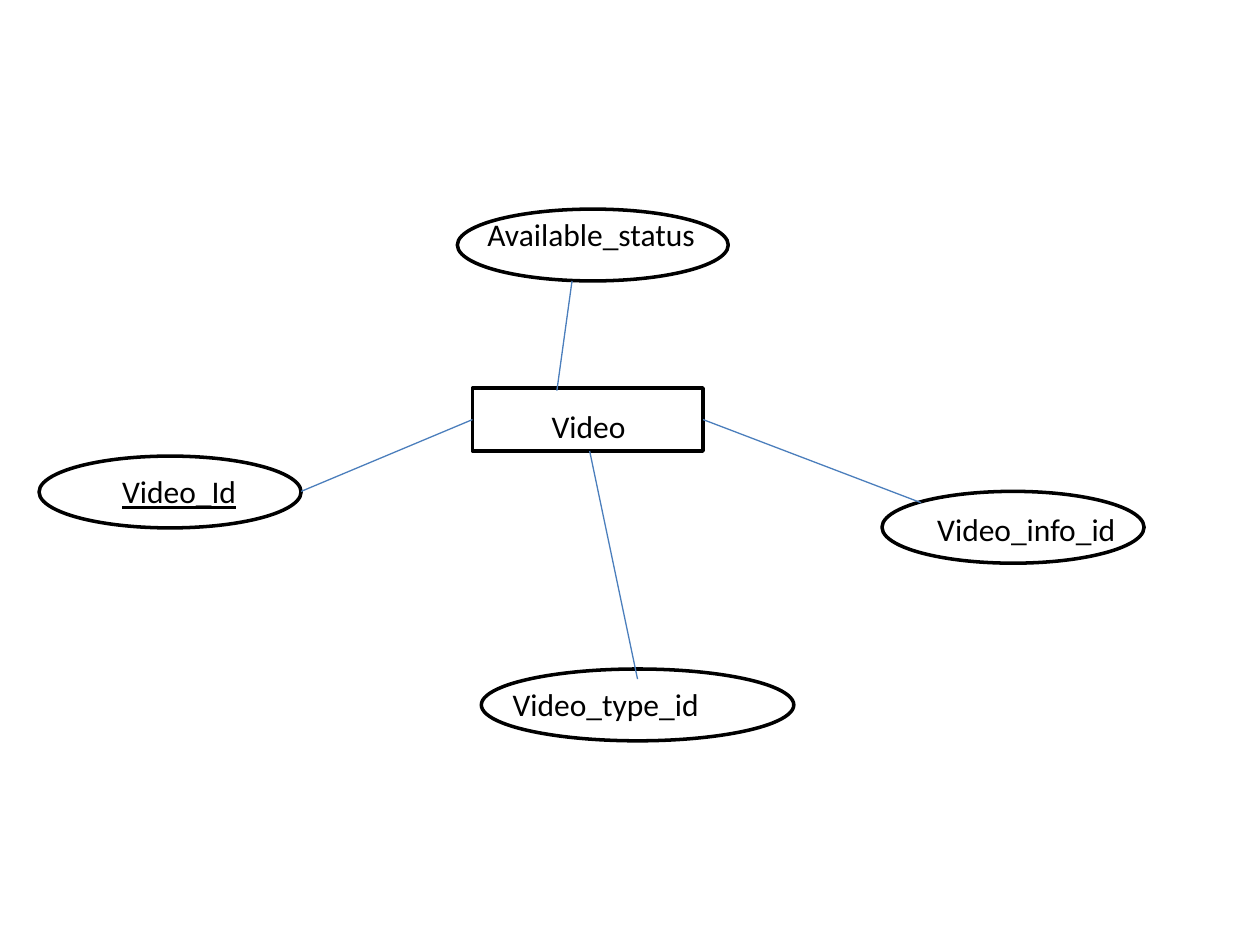
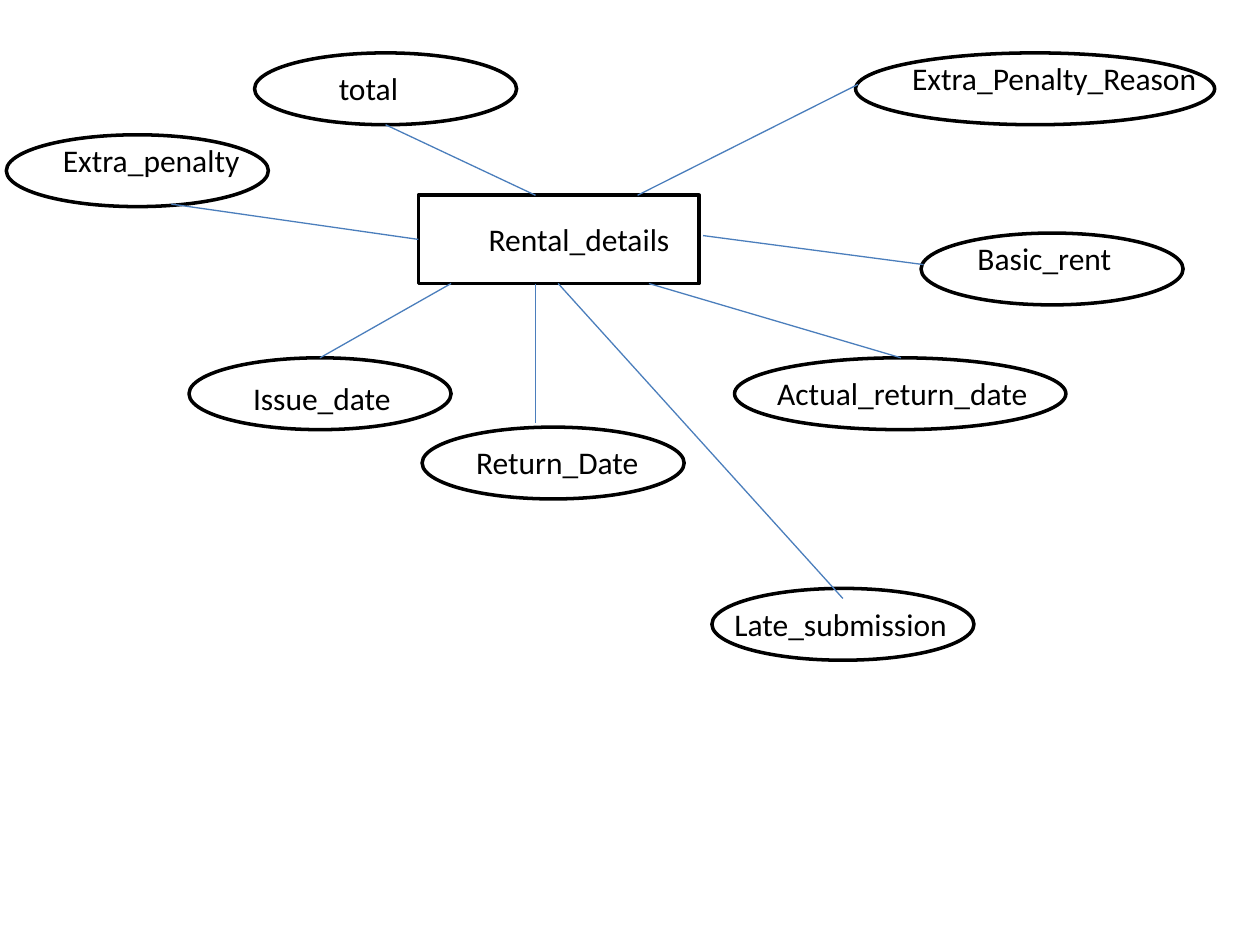
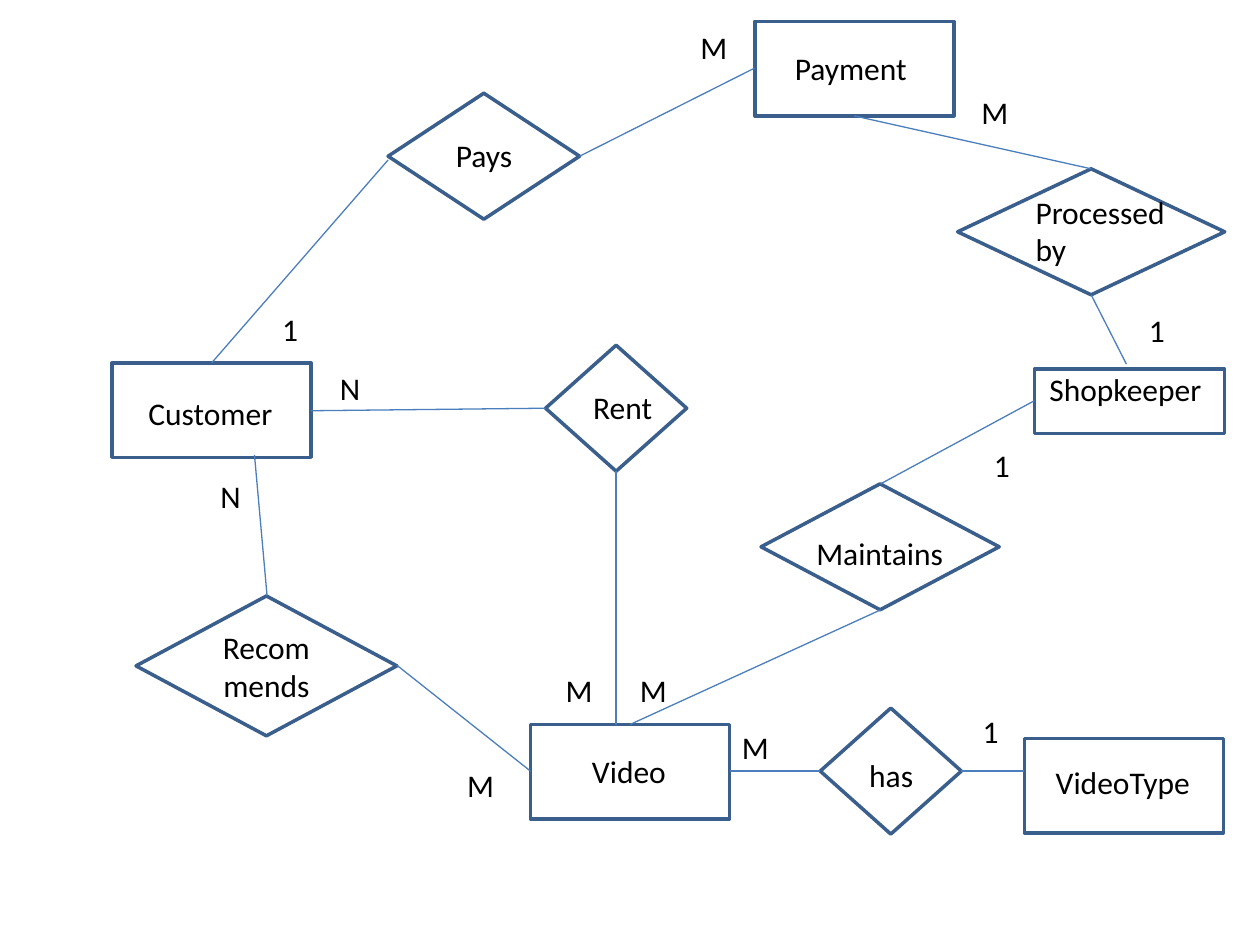
"""Draw three entity-relationship slides for a video rental shop."""
from dataclasses import dataclass

from lxml import etree
from pptx import Presentation
from pptx.dml.color import RGBColor
from pptx.enum.shapes import MSO_CONNECTOR, MSO_SHAPE
from pptx.enum.text import MSO_ANCHOR, PP_ALIGN
from pptx.oxml.ns import qn
from pptx.util import Inches, Pt

RECT, OVAL = MSO_SHAPE.RECTANGLE, MSO_SHAPE.OVAL
DIAMOND, CHOICE = MSO_SHAPE.DIAMOND, MSO_SHAPE.FLOWCHART_DECISION
STRAIGHT = MSO_CONNECTOR.STRAIGHT
MIDDLE, CENTER = MSO_ANCHOR.MIDDLE, PP_ALIGN.CENTER


@dataclass
class Theme:
    ink: RGBColor = RGBColor(0, 0, 0)
    paper: RGBColor = RGBColor(255, 255, 255)
    edge: RGBColor = RGBColor(0x3A, 0x5F, 0x8C)
    link: RGBColor = RGBColor(0x4B, 0x7E, 0xBC)
    font: str = "Calibri"
    size: Pt = Pt(18)
    bold: Pt = Pt(2)
    thin: Pt = Pt(0.75)


theme = Theme()
deck = Presentation()
deck.slide_width, deck.slide_height = Inches(10), Inches(7.5)
COLS, ROWS = 100, 75
COL, ROW = deck.slide_width / COLS, deck.slide_height / ROWS

ATTR = (20.8, 5.7)
ENTITY = (15.8, 7.5)
SMALL = (11.2, 10)
LINE, TWO = 4, 7.1
KEYS = {"Video_Id"}
WRAPS = {"Video_type_id", "Processed by"}


def place(x, y, w, h):
    """Turn columns and rows into slide lengths."""
    return round(x * COL), round(y * ROW), round(w * COL), round(h * ROW)


def write(frame, word):
    """Add one styled run to a text frame."""
    run = frame.paragraphs[0].add_run()
    run.text = word
    font = run.font
    font.name, font.size = theme.font, theme.size
    font.color.rgb = theme.ink
    if word in KEYS:
        font.underline = True


video = dict(
    edge=theme.ink,
    shapes=[
        (RECT, 37.5, 30.8, 18.3, 5),
        (OVAL, 3.1, 36.2, *ATTR),
        (OVAL, 70, 39, *ATTR),
        (OVAL, 38.2, 53.1, 24.8, 5.7),
        (OVAL, 36.3, 16.6, 21.5, 5.7),
    ],
    links=[
        (45.4, 22.3, 44.2, 31),
        (23.9, 39, 37.5, 33.3),
        (55.8, 33.3, 73.1, 39.9),
        (46.8, 35.8, 50.6, 53.9),
    ],
    words=[
        ("Video", 42.8, 31.8, 8),
        ("Video_Id", 8.7, 37, 11.2),
        ("Video_info_id", 73.4, 40, 16.3),
        ("Video_type_id", 39.7, 53.9, 43.8),
        ("Available_status", 37.7, 16.6, 18.6),
    ],
)

rental = dict(
    edge=theme.ink,
    shapes=[
        (RECT, 33.2, 15.5, 22.3, 7),
        (OVAL, 15, 28.4, *ATTR),
        (OVAL, 58.3, 28.4, 26.3, 5.7),
        (OVAL, 33.5, 33.9, *ATTR),
        (OVAL, 73.1, 18.5, *ATTR),
        (OVAL, 56.5, 46.7, *ATTR),
        (OVAL, 67.9, 4.2, 28.5, 5.7),
        (OVAL, 20.2, 4.2, *ATTR),
        (OVAL, 0.5, 10.7, *ATTR),
    ],
    links=[
        (35.8, 22.5, 25.4, 28.4),
        (42.5, 22.5, 42.5, 33.6),
        (51.5, 22.5, 71.5, 28.4),
        (55.8, 18.7, 73.3, 21),
        (44.3, 22.5, 66.9, 47.5),
        (50.6, 15.5, 68.1, 6.7),
        (42.5, 15.5, 30.6, 9.9),
        (13.6, 16.2, 33.2, 19),
    ],
    words=[
        ("Rental_details", 37.8, 17, 16.5),
        ("Return_Date", 36.8, 34.7, 15.1),
        ("Issue_date", 19.1, 29.6, 13.1),
        ("Actual_return_date", 60.7, 29.2, 22.1),
        ("Basic_rent", 76.6, 18.5, 12.7),
        ("Late_submission", 57.3, 47.5, 19.1),
        ("Extra_Penalty_Reason", 71.4, 4.2, 24.8),
        ("total", 25.9, 5, 6.8),
        ("Extra_penalty", 4, 10.7, 16.2),
    ],
)

store = dict(
    edge=theme.edge,
    shapes=[
        (RECT, 8.9, 28.8, *ENTITY),
        (RECT, 42.1, 57.5, *ENTITY),
        (RECT, 59.9, 1.7, *ENTITY),
        (RECT, 81.3, 58.6, *ENTITY),
        (RECT, 82.1, 29.3, 15.1, 5.1),
        (DIAMOND, 43.3, 27.4, *SMALL),
        (DIAMOND, 65.1, 56.2, *SMALL),
        (DIAMOND, 76, 13.4, 21.2, 10),
        (DIAMOND, 60.4, 38.4, 18.9, 10),
        (DIAMOND, 30.8, 7.4, 15.2, 10),
        (CHOICE, 10.8, 47.3, 20.7, 11.1, "Recommends"),
    ],
    links=[
        (24.7, 32.6, 43.3, 32.4),
        (48.9, 57.5, 48.9, 37.4),
        (57.9, 61.2, 65.1, 61.2),
        (76.3, 61.2, 81.3, 61.2),
        (86.6, 23.4, 89.4, 28.9),
        (67.8, 9.2, 86.6, 13.4),
        (21.2, 47.3, 20.2, 36.1),
        (42.1, 61.2, 31.5, 52.8),
        (69.9, 38.4, 82.1, 31.8),
        (50, 57.5, 69.9, 48.4),
        (46, 12.4, 59.9, 5.4),
        (16.8, 28.8, 30.8, 12.7),
    ],
    words=[
        ("Customer", 10.8, 30.8, 12),
        ("Video", 46, 59.2, 8),
        ("Payment", 62.1, 3.4, 11),
        ("Rent", 46.1, 30.3, 6.8),
        ("VideoType", 82.8, 60.1, 12.8),
        ("has", 68, 59.5, 5.5),
        ("Shopkeeper", 82.3, 28.9, 14.2),
        ("Maintains", 63.8, 41.9, 12.2),
        ("Processed by", 81.2, 14.8, 14.5),
        ("Pays", 35.2, 10.3, 6.5),
        *[("N", x, y, 3.6) for x, y in [(26, 28.8), (16.5, 37.4)]],
        *[("M", x, y, 4.2) for x, y in [
            (43.9, 52.8), (49.8, 52.8), (57.9, 57.3),
            (36.1, 60.3), (54.6, 1.7), (76.9, 6.9)]],
        *[("1", x, y, 3.3) for x, y in [
            (77, 56), (21.4, 24.1), (90.2, 24.2), (77.9, 34.9)]],
    ],
)

for page in (video, rental, store):
    slide = deck.slides.add_slide(deck.slide_layouts[6])
    slide.background.fill.solid()
    slide.background.fill.fore_color.rgb = theme.paper

    for form, x, y, w, h, *inner in page["shapes"]:
        shape = slide.shapes.add_shape(form, *place(x, y, w, h))
        shape.shadow.inherit = False
        shape.line.color.rgb = page["edge"]
        shape.line.width = theme.bold
        shape.fill.background()
        for word in inner:
            shape.fill.solid()
            shape.fill.fore_color.rgb = theme.paper
            frame = shape.text_frame
            frame.word_wrap = True
            frame.vertical_anchor = MIDDLE
            frame.paragraphs[0].alignment = CENTER
            write(frame, word)

    for ends in page["links"]:
        link = slide.shapes.add_connector(STRAIGHT, *place(*ends))
        link.line.color.rgb = theme.link
        link.line.width = theme.thin
        etree.SubElement(link._element.spPr, qn("a:effectLst"))

    for word, x, y, w in page["words"]:
        high = TWO if word == "Processed by" else LINE
        label = slide.shapes.add_textbox(*place(x, y, w, high))
        label.text_frame.word_wrap = word in WRAPS
        write(label.text_frame, word)

deck.save("out.pptx")
